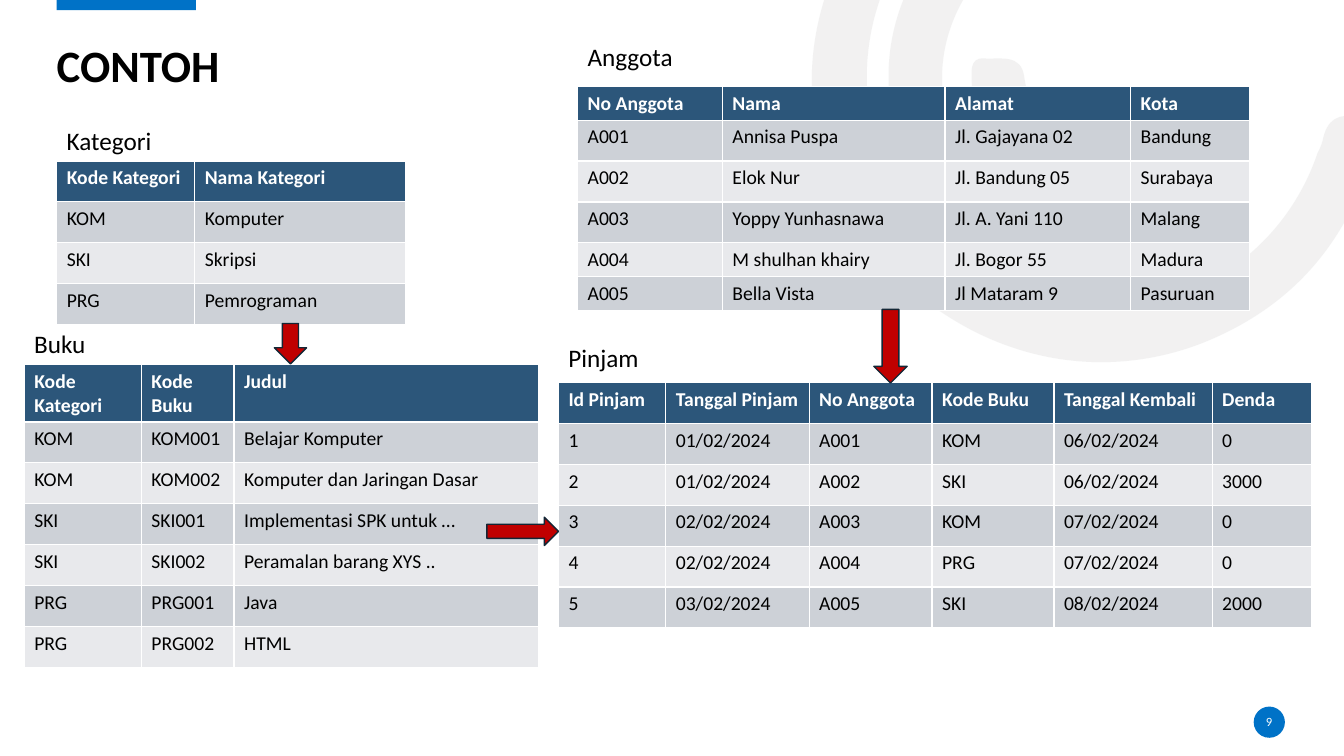
from math import cos, radians, sin

from lxml.etree import SubElement
from pptx import Presentation
from pptx.dml.color import RGBColor
from pptx.enum.shapes import MSO_SHAPE
from pptx.enum.text import MSO_ANCHOR, MSO_AUTO_SIZE, PP_ALIGN
from pptx.oxml.ns import qn
from pptx.util import Pt

FONT = "Calibri"
BLACK = RGBColor(0x00, 0x00, 0x00)
WHITE = RGBColor(0xFF, 0xFF, 0xFF)
BLUE = RGBColor(0x00, 0x72, 0xC7)
NAVY = RGBColor(0x2C, 0x56, 0x7A)
DARK_BAND = RGBColor(0xCD, 0xD1, 0xD7)
LIGHT_BAND = RGBColor(0xE8, 0xE9, 0xEC)
SWIRL_GRAY = RGBColor(0xE7, 0xE6, 0xE6)
RED = RGBColor(0xC0, 0x00, 0x00)
ARROW_LINE = RGBColor(0x13, 0x26, 0x35)

# Content: tables with label position, column widths and row heights
ROW, SHORT_ROW, TALL_ROW = 29.2, 24, 40.8
TABLES = [
    {
        "label": "Kategori", "label_top": 85.7, "label_width": 75.6,
        "left": 40.5, "top": 115, "columns": [98.6, 150.5], "heights": [ROW] * 4,
        "rows": [
            ("Kode Kategori", "Nama Kategori"),
            ("KOM", "Komputer"),
            ("SKI", "Skripsi"),
            ("PRG", "Pemrograman"),
        ],
    },
    {
        "label": "Buku", "label_top": 231.1, "label_width": 51.8,
        "left": 17.3, "top": 260.6, "columns": [83.7, 66.2, 217.4],
        "heights": [TALL_ROW] + [ROW] * 6,
        "rows": [
            ("Kode Kategori", "Kode Buku", "Judul"),
            ("KOM", "KOM001", "Belajar Komputer"),
            ("KOM", "KOM002", "Komputer dan Jaringan Dasar"),
            ("SKI", "SKI001", "Implementasi SPK untuk …"),
            ("SKI", "SKI002", "Peramalan barang XYS .."),
            ("PRG", "PRG001", "Java"),
            ("PRG", "PRG002", "HTML"),
        ],
    },
    {
        "label": "Anggota", "label_top": 25.9, "label_width": 75.6,
        "left": 412.6, "top": 61.8, "columns": [103.4, 159.1, 132.5, 85],
        "heights": [SHORT_ROW] + [ROW] * 3 + [SHORT_ROW] * 2,
        "rows": [
            ("No Anggota", "Nama", "Alamat", "Kota"),
            ("A001", "Annisa Puspa", "Jl. Gajayana 02", "Bandung"),
            ("A002", "Elok Nur", "Jl. Bandung 05", "Surabaya"),
            ("A003", "Yoppy Yunhasnawa", "Jl. A. Yani 110", "Malang"),
            ("A004", "M shulhan khairy", "Jl. Bogor 55", "Madura"),
            ("A005", "Bella Vista", "Jl Mataram 9", "Pasuruan"),
        ],
    },
    {
        "label": "Pinjam", "label_top": 241.2, "label_width": 64.8,
        "left": 398.9, "top": 273.3, "columns": [76.7, 102.4, 87.8, 87.1, 113, 71.3],
        "heights": [ROW] * 6,
        "rows": [
            ("Id Pinjam", "Tanggal Pinjam", "No Anggota", "Kode Buku", "Tanggal Kembali", "Denda"),
            ("1", "01/02/2024", "A001", "KOM", "06/02/2024", "0"),
            ("2", "01/02/2024", "A002", "SKI", "06/02/2024", "3000"),
            ("3", "02/02/2024", "A003", "KOM", "07/02/2024", "0"),
            ("4", "02/02/2024", "A004", "PRG", "07/02/2024", "0"),
            ("5", "03/02/2024", "A005", "SKI", "08/02/2024", "2000"),
        ],
    },
]
ARROWS = [
    (MSO_SHAPE.DOWN_ARROW, 196, 231.1, 23, 28.8),
    (MSO_SHAPE.DOWN_ARROW, 624.2, 221, 23.8, 52.6),
    (MSO_SHAPE.RIGHT_ARROW, 347.8, 369.4, 51.1, 20.2),
]
# Background swirls: frame, start point, Bezier segments (two controls, end), in inches
SWIRL_ROTATION = 144.2
SWIRLS = [
    ((8.13, -2.02, 4.85, 6), (8.51, 2.29), [
        (7.99, 1.49, 7.87, 0.5, 8.38, -0.5), (8.9, -1.52, 9.76, -2.03, 10.9, -2.07),
        (11.05, -2.07, 11.21, -2.1, 11.31, -1.95), (11.44, -1.75, 11.27, -1.54, 10.98, -1.54),
        (9.67, -1.54, 8.65, -0.59, 8.6, 0.68), (8.56, 1.81, 9.36, 2.81, 10.46, 3.02),
        (11.6, 3.24, 12.7, 2.61, 13.07, 1.52), (13.09, 1.48, 13.11, 1.44, 13.12, 1.4),
        (13.16, 1.19, 13.27, 1.11, 13.49, 1.17), (13.73, 1.24, 13.67, 1.41, 13.61, 1.56),
        (13.34, 2.45, 12.78, 3.07, 11.91, 3.41), (10.7, 3.87, 9.36, 3.45, 8.51, 2.29)]),
    ((9.01, -0.78, 2.13, 4.26), (9.22, 1.99), [
        (8.62, 1.15, 8.69, 0.07, 9.4, -0.68), (9.51, -0.79, 9.62, -0.95, 9.8, -0.78),
        (9.95, -0.64, 9.97, -0.5, 9.79, -0.32), (9.25, 0.26, 9.2, 1.08, 9.65, 1.68),
        (10.08, 2.29, 10.88, 2.49, 11.61, 2.15), (11.82, 2.05, 11.93, 2.12, 12.03, 2.29),
        (12.13, 2.5, 11.97, 2.56, 11.83, 2.63), (10.96, 3.1, 9.83, 2.82, 9.22, 1.99)]),
    ((9.8, 0.37, 0.78, 1.83), (9.87, 1.51), [
        (9.75, 1.3, 9.64, 1.07, 9.64, 0.82), (9.64, 0.73, 9.61, 0.57, 9.76, 0.58),
        (9.92, 0.59, 10.13, 0.53, 10.16, 0.76), (10.21, 1.1, 10.36, 1.32, 10.67, 1.48),
        (10.88, 1.57, 10.76, 1.76, 10.72, 1.89), (10.68, 2.06, 10.55, 1.98, 10.45, 1.94),
        (10.21, 1.87, 10.03, 1.7, 9.87, 1.51)]),
]

presentation = Presentation()
presentation.slide_width, presentation.slide_height = Pt(960), Pt(540)
slide = presentation.slides.add_slide(presentation.slide_layouts[6])


def paint(shape, color, line_color=None):
    shape.shadow.inherit = False
    shape.fill.solid()
    shape.fill.fore_color.rgb = color
    if line_color is None:
        shape.line.fill.background()
    else:
        shape.line.color.rgb = line_color
        shape.line.width = Pt(1)


def add_preset(kind, left, top, width, height, color, line_color=None):
    shape = slide.shapes.add_shape(kind, Pt(left), Pt(top), Pt(width), Pt(height))
    paint(shape, color, line_color)


def write(text_frame, text, size, color, bold=False):
    text_frame.text = text
    font = text_frame.paragraphs[0].runs[0].font
    font.name, font.size, font.bold = FONT, Pt(size), bold
    font.color.rgb = color


def add_text(text, left, top, width, height, size, color, bold=False):
    box = slide.shapes.add_textbox(Pt(left), Pt(top), Pt(width), Pt(height))
    write(box.text_frame, text, size, color, bold)
    return box.text_frame


def remove_margins(frame):
    frame.margin_left = frame.margin_top = frame.margin_right = frame.margin_bottom = 0
    frame.word_wrap = True


def add_swirl(frame, start, segments):
    left, top, width, height = [Pt(value * 72) for value in frame]
    builder = slide.shapes.build_freeform(left, top)
    builder.add_line_segments([(left + width, top), (left + width, top + height)])
    swirl = builder.convert_to_shape()
    paint(swirl, SWIRL_GRAY)
    swirl.rotation = SWIRL_ROTATION
    properties = swirl._element.spPr
    SubElement(properties.find(".//" + qn("a:srgbClr")), qn("a:alpha"), val="53000")

    # Turn each point back into the unrotated frame and write true curves
    outline = properties.find(".//" + qn("a:path"))
    for command in list(outline):
        outline.remove(command)
    center_x, center_y = left + width / 2, top + height / 2
    cosine, sine = cos(radians(SWIRL_ROTATION)), sin(radians(SWIRL_ROTATION))

    def add_command(name, values):
        command = SubElement(outline, qn(name))
        for x, y in zip(values[::2], values[1::2]):
            across, down = Pt(x * 72) - center_x, Pt(y * 72) - center_y
            SubElement(command, qn("a:pt"),
                       x=str(round(across * cosine + down * sine + width / 2)),
                       y=str(round(down * cosine - across * sine + height / 2)))

    add_command("a:moveTo", start)
    for segment in segments:
        add_command("a:cubicBezTo", segment)
    add_command("a:close", ())


def add_data_table(data):
    columns, heights = data["columns"], data["heights"]
    table = slide.shapes.add_table(
        len(heights), len(columns), Pt(data["left"]), Pt(data["top"]),
        Pt(sum(columns)), Pt(sum(heights))).table
    for column, width in zip(table.columns, columns):
        column.width = Pt(width)
    for index, (row, height, texts) in enumerate(zip(table.rows, heights, data["rows"])):
        row.height = Pt(height)
        header = index == 0
        band = NAVY if header else (LIGHT_BAND, DARK_BAND)[index % 2]
        for cell, text in zip(row.cells, texts):
            write(cell.text_frame, text, 14, WHITE if header else BLACK, header)
            cell.fill.solid()
            cell.fill.fore_color.rgb = band


# Background decoration
for frame, start, segments in SWIRLS:
    add_swirl(frame, start, segments)
add_preset(MSO_SHAPE.RECTANGLE, 40.5, -1.4, 99.4, 8.6, BLUE)
add_preset(MSO_SHAPE.OVAL, 895.5, 504.7, 22.3, 22.3, BLUE)

# Title and page number
title = add_text("CONTOH", 40.5, 19.4, 877.7, 46.8, 32, BLACK, True)
remove_margins(title)
title.vertical_anchor = MSO_ANCHOR.BOTTOM
title.paragraphs[0].line_spacing = 0.9
number = add_text("9", 895, 508.3, 23, 14.4, 9, WHITE)
remove_margins(number)
number.vertical_anchor = MSO_ANCHOR.MIDDLE
number.paragraphs[0].alignment = PP_ALIGN.CENTER

# Tables, then their labels
for data in TABLES:
    add_data_table(data)
for data in TABLES:
    label = add_text(data["label"], data["left"], data["label_top"],
                     data["label_width"], 29.1, 18, BLACK)
    label.word_wrap = False
    label.auto_size = MSO_AUTO_SIZE.SHAPE_TO_FIT_TEXT

# Arrows between related tables
for kind, left, top, width, height in ARROWS:
    add_preset(kind, left, top, width, height, RED, ARROW_LINE)

presentation.save("out.pptx")
